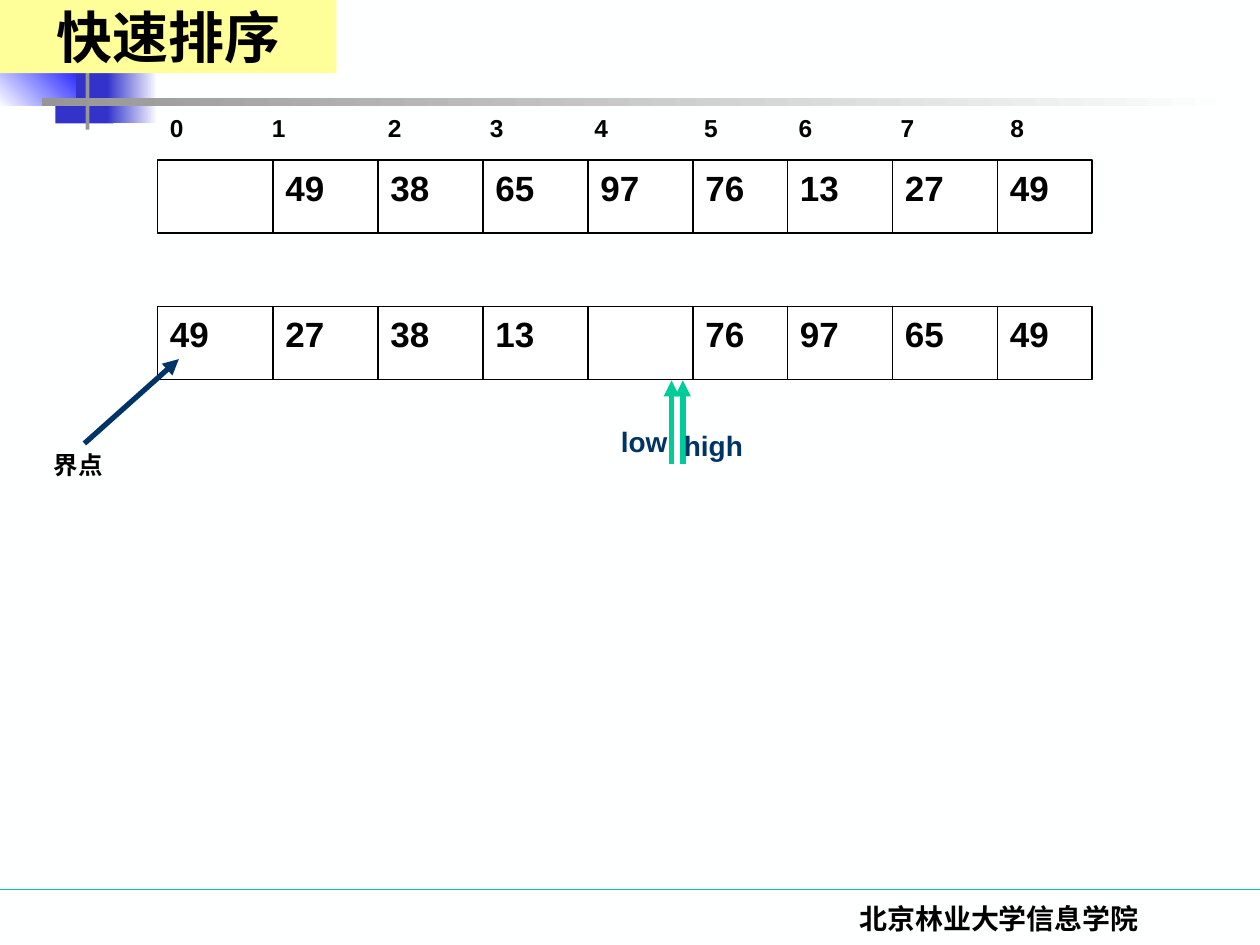
from itertools import accumulate

from lxml import etree
from pptx import Presentation
from pptx.dml.color import RGBColor
from pptx.enum.shapes import MSO_CONNECTOR, MSO_SHAPE
from pptx.enum.text import MSO_ANCHOR, MSO_AUTO_SIZE, PP_ALIGN
from pptx.oxml.ns import qn
from pptx.util import Inches, Pt

RECT = MSO_SHAPE.RECTANGLE
STRAIGHT = MSO_CONNECTOR.STRAIGHT
CENTER = PP_ALIGN.CENTER
MIDDLE = MSO_ANCHOR.MIDDLE
GROW = MSO_AUTO_SIZE.SHAPE_TO_FIT_TEXT

COLORS = {
    "paper": "FEFFFF", "white": "FFFFFF", "black": "000000", "navy": "003366",
    "green": "00CC99", "indigo": "3333CC", "blue": "0000FF", "gray": "969696",
    "yellow": "FFFF99",
}

# Cell widths in twelfths of an inch, and the edges they give from the left side
CELL_WIDTHS = [11, 10, 10, 10, 10, 9, 10, 10, 9]
CELL_EDGES = [n / 12 for n in accumulate(CELL_WIDTHS, initial=0)]
ARRAY_LEFT, ARRAY_HEIGHT = 1.25, 0.58
INDEX_TABS = [0.81, 1.73, 2.54, 3.37, 4.24, 4.99, 5.8, 6.67]


def rgb(name):
    return RGBColor.from_string(COLORS[name])


def add_rect(s, box, fill, line=None, angle=0):
    """fill is a colour name, or a (start, end) pair for a gradient."""
    sp = s.shapes.add_shape(RECT, *map(Inches, box))
    sp.shadow.inherit = False
    if isinstance(fill, tuple):
        sp.fill.gradient()
        sp.fill.gradient_angle = angle
        for stop, name in zip(sp.fill.gradient_stops, fill):
            stop.color.rgb = rgb(name)
    else:
        sp.fill.solid()
        sp.fill.fore_color.rgb = rgb(fill)
    if line:
        sp.line.color.rgb = rgb(line)
        sp.line.width = Pt(0.75)
    else:
        sp.line.fill.background()
    return sp


def add_line(s, start, end, color, width=0.75, arrow=False):
    cn = s.shapes.add_connector(STRAIGHT, *map(Inches, (*start, *end)))
    cn.line.color.rgb = rgb(color)
    cn.line.width = Pt(width)
    if arrow:
        etree.SubElement(cn.line._get_or_add_ln(), qn("a:tailEnd"), type="triangle")
    etree.SubElement(cn._element.spPr, qn("a:effectLst"))


def style(p, size, color="black", font="Arial"):
    p.font.size = Pt(size)
    p.font.bold = True
    p.font.name = font
    p.font.color.rgb = rgb(color)


def add_label(s, box, text, size, color="black", font="Arial", align=None, tabs=()):
    tf = s.shapes.add_textbox(*map(Inches, box)).text_frame
    tf.word_wrap = True
    tf.auto_size = GROW
    p = tf.paragraphs[0]
    p.text = text
    p.alignment = align
    if tabs:
        tab_list = etree.SubElement(p._p.get_or_add_pPr(), qn("a:tabLst"))
        for pos in tabs:
            etree.SubElement(tab_list, qn("a:tab"), pos=str(Inches(pos)), algn="l")
    style(p, size, color, font)


def add_ornament(s, left, top):
    """Overlapping squares and crossed bars under the title."""
    add_rect(s, (left + 0.45, top + 0.08, 0.46, 0.52), "indigo")
    add_rect(s, (left + 0.86, top + 0.08, 0.4, 0.52), ("indigo", "paper"))
    add_rect(s, (left, top, 0.61, 0.46), ("paper", "blue"), angle=45)
    add_rect(s, (left + 0.69, top - 0.5, 0.03, 1.15), "gray")
    add_rect(s, (left + 0.34, top + 0.4, 9.51, 0.06), ("gray", "paper"))


def add_title(s, box, text):
    sp = add_rect(s, box, "yellow")
    tf = sp.text_frame
    tf.vertical_anchor = MIDDLE
    p = tf.paragraphs[0]
    p.text = text
    p.alignment = CENTER
    style(p, 32, font="Times New Roman")


def add_footer(s, top, text):
    add_line(s, (0, top), (10, top), "green")
    add_label(s, (5.86, top + 0.05, 4.14, 0.5), text, 16,
              font="Times New Roman", align=CENTER)


def add_indices(s, left, top):
    text = "\t".join(str(i) for i in range(len(CELL_WIDTHS)))
    add_label(s, (left, top, CELL_EDGES[-1], 0.34), text, 14, tabs=INDEX_TABS)


def add_array(s, left, top, values):
    """A row of cells; None leaves a cell empty."""
    add_rect(s, (left, top, CELL_EDGES[-1], ARRAY_HEIGHT), "white", "black")
    for edge in CELL_EDGES[1:-1]:
        add_line(s, (left + edge, top), (left + edge, top + ARRAY_HEIGHT), "black")
    for edge, value in zip(CELL_EDGES, values):
        if value is not None:
            add_label(s, (left + edge, top, 0.67, 0.44), str(value), 20)


def add_pointer(s, x, top, text, label_left, label_top):
    add_line(s, (x, top + 0.66), (x, top), "green", 3, arrow=True)
    add_label(s, (label_left, label_top, 0.92, 0.37), text, 16, "navy")


def add_pivot_note(s, left, top, target):
    add_label(s, (left, top, 0.83, 0.34), "界点", 14)
    add_line(s, (left + 0.34, top), target, "navy", 3, arrow=True)


def main():
    prs = Presentation()
    prs.slide_width, prs.slide_height = Inches(10), Inches(7.5)
    s = prs.slides.add_slide(prs.slide_layouts[6])
    s.background.fill.solid()
    s.background.fill.fore_color.rgb = rgb("paper")

    add_ornament(s, -0.01, 0.38)
    add_footer(s, 7.06, "北京林业大学信息学院")
    add_indices(s, ARRAY_LEFT, 0.85)
    add_array(s, ARRAY_LEFT, 1.27, [None, 49, 38, 65, 97, 76, 13, 27, 49])
    add_array(s, ARRAY_LEFT, 2.43, [49, 27, 38, 13, None, 76, 97, 65, 49])
    add_pointer(s, 5.42, 3.02, "high", 5.33, 3.35)
    add_pointer(s, 5.33, 3.02, "low", 4.83, 3.32)
    add_pivot_note(s, 0.33, 3.52, (1.42, 2.85))
    add_title(s, (0, 0, 2.67, 0.58), "快速排序")

    prs.save("out.pptx")


if __name__ == "__main__":
    main()
